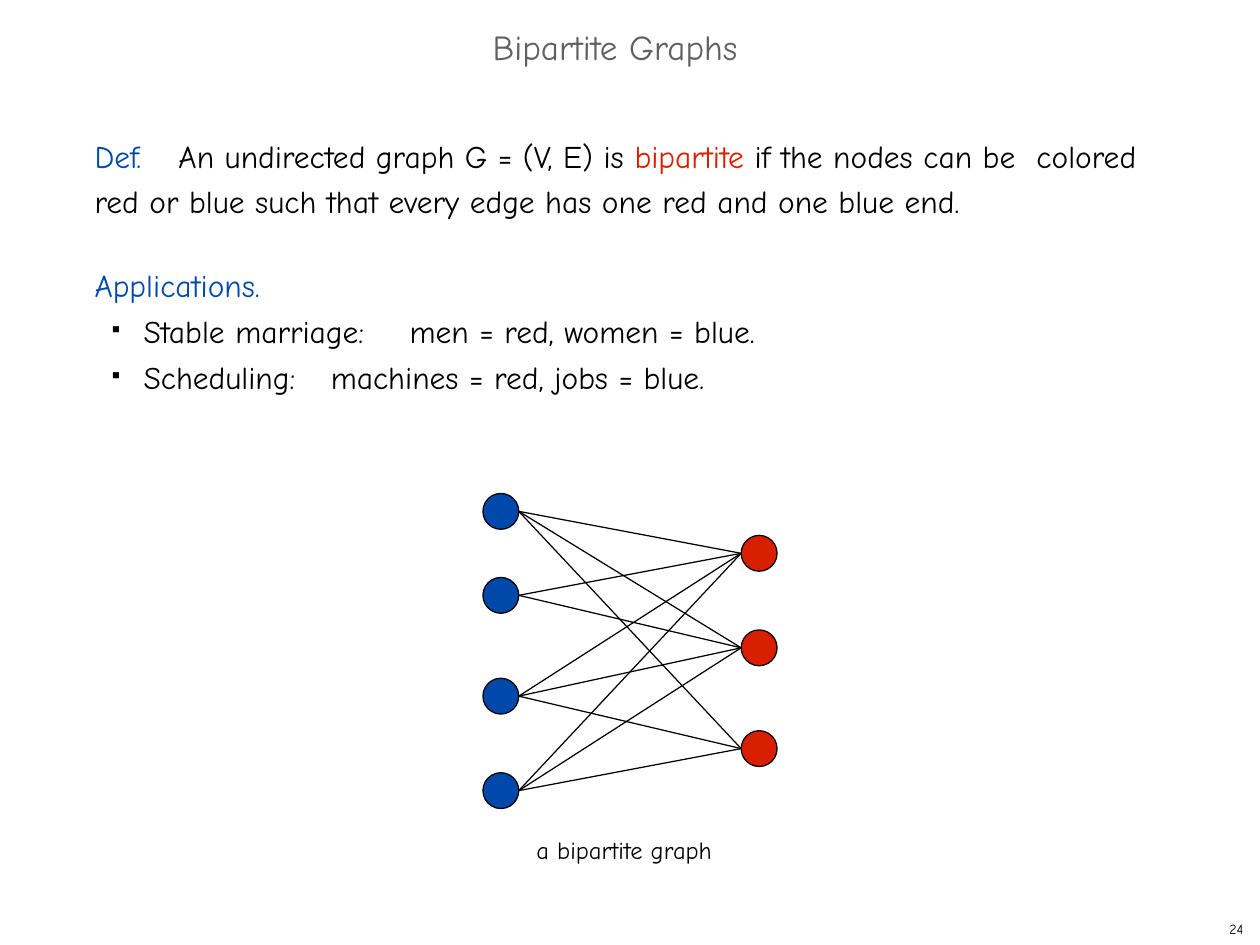
from lxml.etree import SubElement
from pptx import Presentation
from pptx.dml.color import RGBColor
from pptx.enum.shapes import MSO_CONNECTOR as Connector, MSO_SHAPE as Shape
from pptx.enum.text import MSO_ANCHOR as Anchor, PP_ALIGN as Align
from pptx.oxml.ns import qn
from pptx.util import Pt

BLUE, RED, BLACK, GRAY = "0048AA", "D81F00", "000000", "5F6061"


def color(value):
    return RGBColor.from_string(value)


class GraphSlide:
    font = "Comic Neue"
    line_width = 0.72
    diameter = 20.5

    def __init__(self, deck):
        self.page = deck.slides.add_slide(deck.slide_layouts[5])

    def place(self, shape, left, top, width, height):
        shape.left, shape.top = Pt(left), Pt(top)
        shape.width, shape.height = Pt(width), Pt(height)

    def frame(self, shape):
        frame = shape.text_frame
        frame.word_wrap = True
        frame.vertical_anchor = Anchor.TOP
        frame.margin_left = frame.margin_right = frame.margin_bottom = 0
        frame.margin_top = Pt(1)
        return frame

    def fill_para(self, para, spans, size, before=1.0):
        """Fill a paragraph with (text, colour) spans."""
        para.alignment = Align.LEFT
        para.space_before = Pt(before)
        para.font.name, para.font.size = self.font, Pt(size)
        for text, fill in spans:
            span = para.add_run()
            span.text = text
            span.font.color.rgb = color(fill)

    def title(self, text, *area):
        shape = self.page.shapes.title
        self.place(shape, *area)
        self.fill_para(self.frame(shape).paragraphs[0], [(text, GRAY)], 20)

    def box(self, *area):
        return self.frame(self.page.shapes.add_textbox(*map(Pt, area)))

    def label(self, text, size, *area):
        self.fill_para(self.box(*area).paragraphs[0], [(text, BLACK)], size)

    def bullet(self, para):
        props = para._p.get_or_add_pPr()
        props.set("marL", str(Pt(28)))
        props.set("indent", str(-Pt(18)))
        SubElement(props, qn("a:buSzPct"), val="33000")
        SubElement(props, qn("a:buChar"), char="■")

    def tab(self, para, position):
        props = para._p.get_or_add_pPr()
        stops = SubElement(props, qn("a:tabLst"))
        SubElement(stops, qn("a:tab"), pos=str(Pt(position)), algn="l")
        # The schema wants the default run properties after the tab stops
        props.append(props.find(qn("a:defRPr")))

    def node(self, x, y, fill):
        radius = self.diameter / 2
        shape = self.page.shapes.add_shape(
            Shape.OVAL, Pt(x - radius), Pt(y - radius), Pt(self.diameter), Pt(self.diameter))
        shape.shadow.inherit = False
        shape.fill.solid()
        shape.fill.fore_color.rgb = color(fill)
        shape.line.color.rgb = color(BLACK)
        shape.line.width = Pt(self.line_width)

    def edge(self, x1, y1, x2, y2):
        line = self.page.shapes.add_connector(
            Connector.STRAIGHT, Pt(x1), Pt(y1), Pt(x2), Pt(y2))
        line.line.color.rgb = color(BLACK)
        line.line.width = Pt(self.line_width)
        SubElement(line._element.spPr, qn("a:effectLst"))


def main():
    deck = Presentation()
    deck.slide_width, deck.slide_height = Pt(720), Pt(540)
    slide = GraphSlide(deck)
    slide.title("Bipartite Graphs", 281.5, 13.5, 158, 26)

    # Definition
    body = slide.box(54, 73, 600, 158)
    definition = body.paragraphs[0]
    slide.fill_para(definition, [
        ("Def.\t", BLUE),
        ("An undirected graph G = (V, E) is ", BLACK),
        ("bipartite ", RED),
        ("if the nodes can be  colored red or blue such that every edge "
         "has one red and one blue end.", BLACK),
    ], 18)
    definition.line_spacing = 1.2
    slide.tab(definition, 48)

    # Applications
    slide.fill_para(body.add_paragraph(), [("Applications.", BLUE)], 18, 26.5)
    for text, stop in (("Stable marriage:\tmen = red, women = blue.", 180),
                       ("Scheduling:\tmachines = red, jobs = blue.", 135)):
        item = body.add_paragraph()
        slide.fill_para(item, [(text, BLACK)], 18, 4.5)
        slide.bullet(item)
        slide.tab(item, stop)

    # Bipartite graph: each blue node lists its red neighbours
    blue_x, red_x = 286.2, 433.8
    blue_ys = (292.2, 340.2, 397.8, 451.8)
    red_ys = (316.2, 370.2, 427.8)
    neighbours = ((0, 1, 2), (0, 1), (0, 1, 2), (0, 1, 2))
    radius = slide.diameter / 2
    for x, ys, fill in ((blue_x, blue_ys, BLUE), (red_x, red_ys, RED)):
        for y in ys:
            slide.node(x, y, fill)
    for blue_y, reds in zip(blue_ys, neighbours):
        for red in reds:
            slide.edge(blue_x + radius, blue_y, red_x - radius, red_ys[red])

    # Caption and page number
    slide.label("a bipartite graph", 14, 306.5, 476, 113, 19)
    slide.label("24", 8, 702.5, 525, 16, 13)

    deck.save("out.pptx")


if __name__ == "__main__":
    main()
